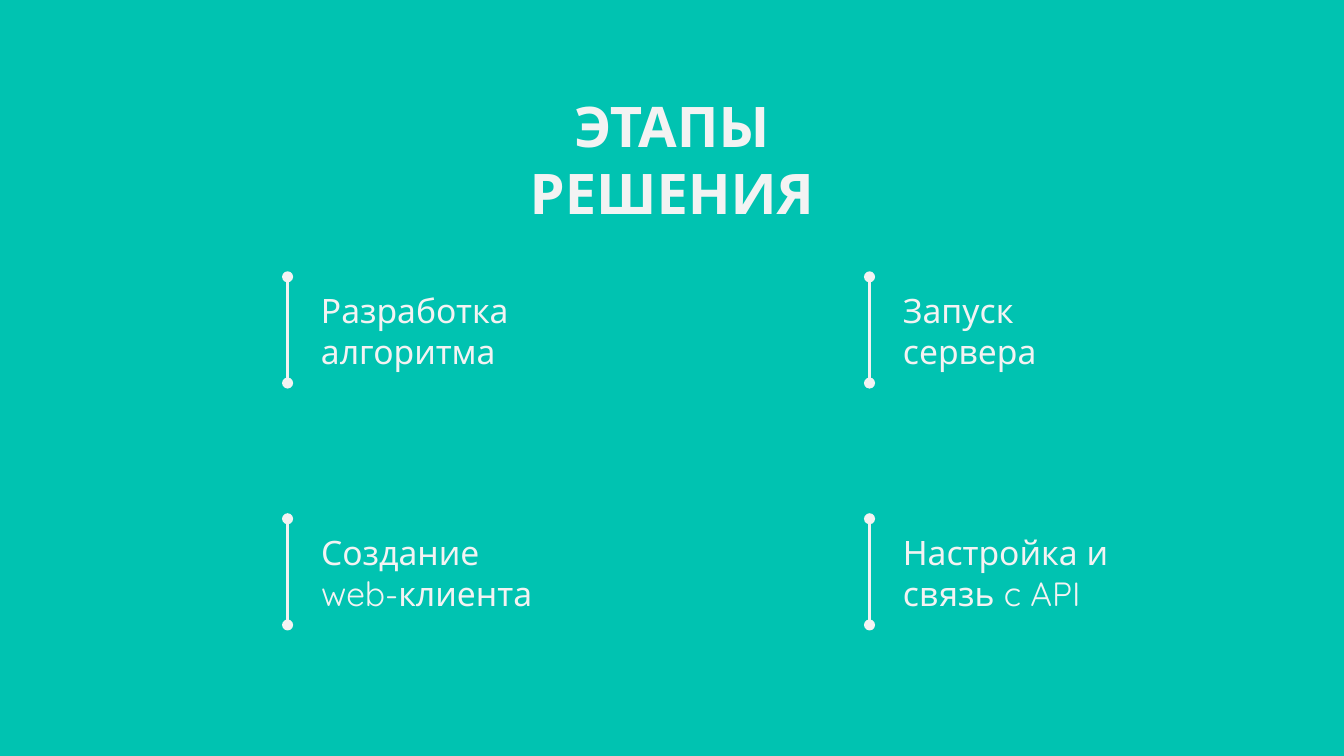
"""Build the slide listing the four stages of the solution."""
from dataclasses import dataclass

from lxml import etree
from pptx import Presentation
from pptx.dml.color import RGBColor
from pptx.enum.shapes import MSO_CONNECTOR as Connector
from pptx.enum.text import MSO_ANCHOR as Anchor, PP_ALIGN as Align
from pptx.oxml.ns import qn
from pptx.util import Inches, Pt


@dataclass(frozen=True)
class Theme:
    background: RGBColor = RGBColor.from_string("00C3B1")
    ink: RGBColor = RGBColor.from_string("F3F3F3")
    font: str = "Quicksand"
    title_size: Pt = Pt(30)
    stage_size: Pt = Pt(18)
    line_width: Pt = Pt(1.5)


theme = Theme()


def add_text(left, top, width, height, text, size, anchor, align, bold=False):
    box = page.shapes.add_textbox(Inches(left), Inches(top), Inches(width), Inches(height))
    frame = box.text_frame
    frame.word_wrap = True
    frame.vertical_anchor = anchor
    frame.margin_left = frame.margin_right = Inches(0.1)
    frame.margin_top = frame.margin_bottom = Inches(0.1)
    frame.text = text
    for para in frame.paragraphs:
        para.alignment = align
        for span in para.runs:
            span.font.name = theme.font
            span.font.size = size
            span.font.bold = bold
            span.font.color.rgb = theme.ink


def add_marker(left, top, height):
    marker = page.shapes.add_connector(
        Connector.STRAIGHT, Inches(left), Inches(top), Inches(left), Inches(top + height))
    marker.line.color.rgb = theme.ink
    marker.line.width = theme.line_width
    outline = marker.line._get_or_add_ln()
    for end in ("a:headEnd", "a:tailEnd"):
        etree.SubElement(outline, qn(end), type="oval")
    etree.SubElement(marker._element.spPr, qn("a:effectLst"))


deck = Presentation()
deck.slide_width = Inches(10)
deck.slide_height = deck.slide_width * 9 // 16
page = deck.slides.add_slide(deck.slide_layouts[6])
page.background.fill.solid()
page.background.fill.fore_color.rgb = theme.background

add_text(3.15, 0.58, 3.7, 0.63, "ЭТАПЫ РЕШЕНИЯ", theme.title_size, Anchor.TOP, Align.CENTER, True)

columns = (2.14, 6.47)
rows = (2.06, 3.86)
stages = (
    (("Разработка\nалгоритма", 1.76), ("Запуск сервера", 1.76)),
    (("Создание\nweb-клиента", 1.99), ("Настройка и связь c API", 1.76)),
)
for top, row in zip(rows, stages):
    for left, (label, width) in zip(columns, row):
        add_marker(left, top, 0.79)
        add_text(left + 0.15, top + 0.08, width, 0.64, label,
                 theme.stage_size, Anchor.MIDDLE, Align.LEFT)

deck.save("out.pptx")
